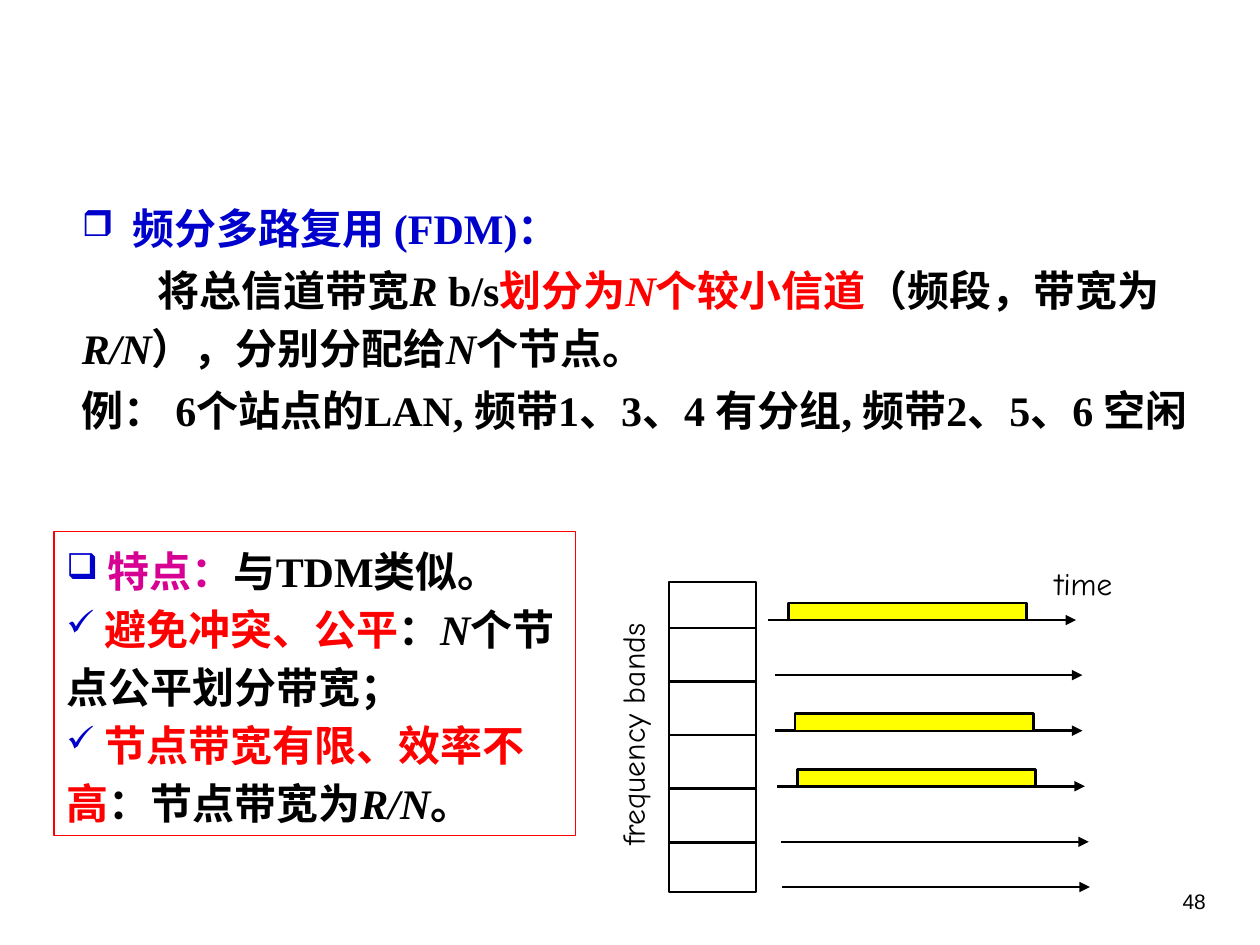
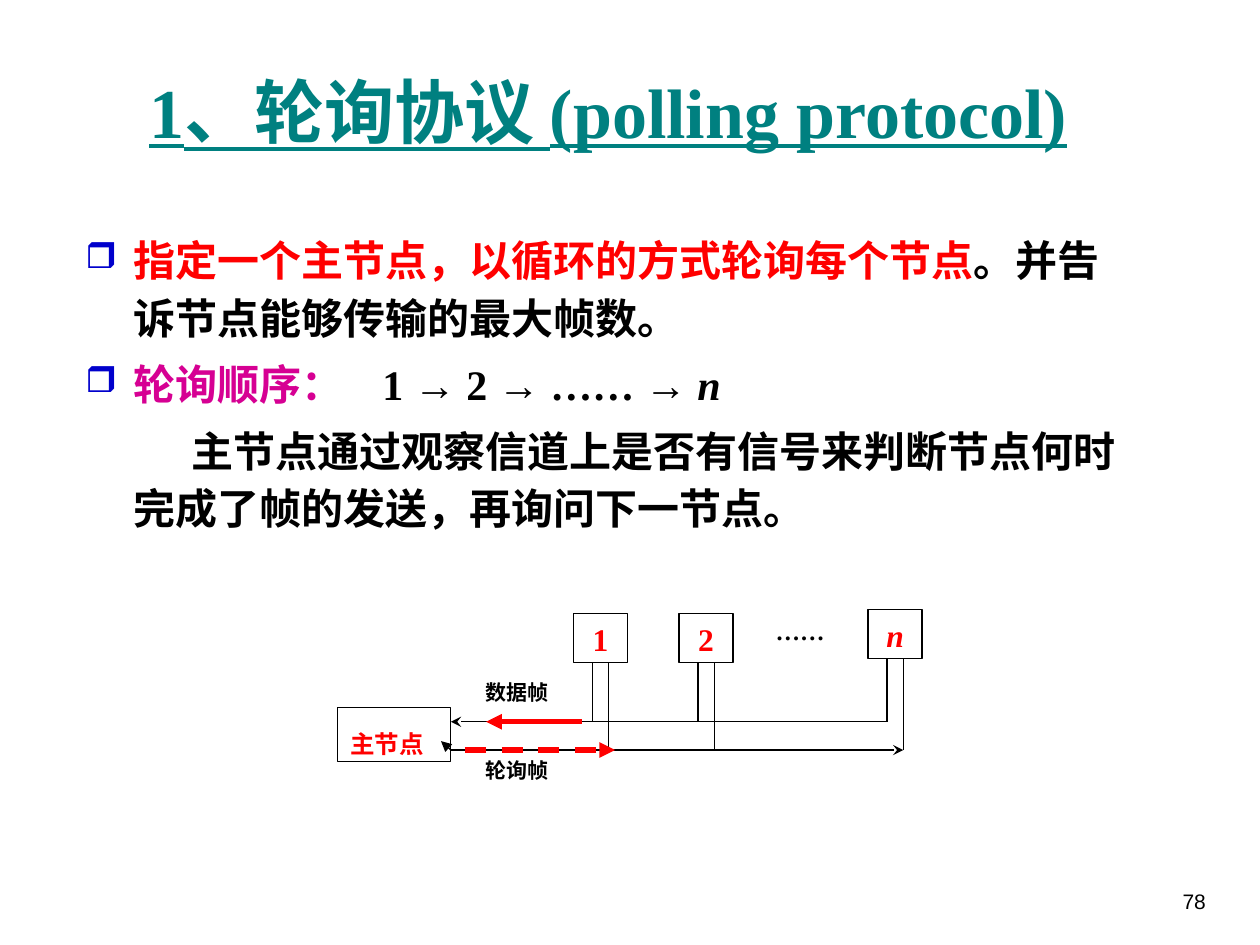
from lxml.etree import SubElement
from pptx import Presentation
from pptx.dml.color import RGBColor
from pptx.enum.dml import MSO_LINE
from pptx.enum.shapes import MSO_CONNECTOR, MSO_SHAPE
from pptx.enum.text import MSO_ANCHOR, MSO_AUTO_SIZE, PP_ALIGN
from pptx.oxml.ns import qn
from pptx.util import Cm, Pt

COLORS = {
    "black": "000000", "white": "FFFFFF", "red": "FF0000", "blue": "0000CC",
    "magenta": "D60093", "teal": "008080", "yellow": "FFFF00",
}
SERIF, SANS, HAND = "Times New Roman", "Arial", "Comic Neue"

# A paragraph is (spans, layout); a span is (text, colour, italic).
# Layout lengths are centimetres, space before is points.
FDM_BODY = [
    ([("频分多路复用 (FDM)：", "blue")], dict(bullet="❒", margin=1.02, indent=-1.02)),
    ([("将总信道带宽", "black"), ("R ", "black", True), ("b/s", "black"),
      ("划分为", "red"), ("N", "red", True), ("个较小信道", "red"),
      ("（频段，带宽为", "black"), ("R/N", "black", True), ("），分别分配给", "black"),
      ("N", "black", True), ("个节点。", "black")], dict(indent=1.53, before=2.4)),
    ([("例： 6个站点的LAN, 频带1、3、4 有分组, 频带2、5、6 空闲", "black")],
     dict(before=2.4)),
]
FDM_TRAITS = [
    ([(" ", "black", True), ("特点：", "magenta"), ("与TDM类似。", "black")],
     dict(bullet="❑")),
    ([(" 避免冲突、公平", "red"), ("：", "black"), ("N", "black", True),
      ("个节点公平划分带宽；", "black")], dict(bullet="✓")),
    ([(" 节点带宽有限、效率不高", "red"), ("：节点带宽为", "black"),
      ("R/N", "black", True), ("。", "black")], dict(bullet="✓")),
]
HANGING = dict(bullet="❒", margin=0.97, indent=-0.97)
POLLING_BODY = [
    ([("指定一个主节点，以循环的方式轮询每个节点", "red"),
      ("。并告诉节点能够传输的最大帧数。", "black")], HANGING),
    ([("轮询顺序：\t", "magenta"), ("1 → 2 → …… → ", "black"), ("n", "black", True)],
     dict(HANGING, before=4.8, tab=5.99)),
    ([("主节点通过观察信道上是否有信号来判断节点何时完成了帧的发送，再询问下一节点。",
       "black")], dict(margin=0.97, indent=1.17, before=4.8)),
]

BAND_COLUMN = (13.49, 11.73, 1.75, 6.25)
FIRST_DIVIDER, BAND_STEP, BAND_COUNT = 12.66, 1.08, 6
# left end, height on the slide, whether the band carries packets
TIME_AXES = [
    (15.49, 12.5, True), (15.62, 13.61, False), (15.62, 14.73, True),
    (15.67, 15.85, True), (15.75, 16.97, False), (15.77, 17.88, False),
]
AXIS_LENGTH = 6.2
PULSE_OFFSET, PULSE_WIDTH, PULSE_HEIGHT = 0.41, 4.8, 0.32

# name, left, top, italic
NODES = [("1", 11.56, 12.37, False), ("2", 13.69, 12.37, False),
         ("n", 17.5, 12.29, True)]
NODE_WIDTH, NODE_HEIGHT = 1.09, 0.99
DATA_DROP, POLL_DROP = 0.38, 0.71
MASTER_RIGHT, DATA_LINE, POLL_LINE = 9.09, 14.55, 15.12


def color(name):
    return RGBColor.from_string(COLORS[name])


def add_bullet(properties, character):
    tint = SubElement(properties, qn("a:buClr"))
    SubElement(tint, qn("a:srgbClr"), val=COLORS["blue"])
    SubElement(properties, qn("a:buSzPct"), val="85000")
    SubElement(properties, qn("a:buChar"), char=character)


def write(box, paragraphs, size=24, font=SERIF, bold=True, underline=None,
          align=PP_ALIGN.LEFT, spacing=None, anchor=MSO_ANCHOR.TOP, wrap=True):
    """Fill a shape with paragraphs, or with one span given as a tuple."""
    frame = box.text_frame
    frame.word_wrap, frame.vertical_anchor = wrap, anchor
    if isinstance(paragraphs, tuple):
        paragraphs = [([paragraphs], {})]
    for number, (spans, layout) in enumerate(paragraphs):
        para = frame.add_paragraph() if number else frame.paragraphs[0]
        properties = para._p.get_or_add_pPr()
        properties.set("marL", str(Cm(layout.get("margin", 0))))
        properties.set("indent", str(Cm(layout.get("indent", 0))))
        if "bullet" in layout:
            add_bullet(properties, layout["bullet"])
        if "tab" in layout:
            tabs = SubElement(properties, qn("a:tabLst"))
            SubElement(tabs, qn("a:tab"), pos=str(Cm(layout["tab"])), algn="l")
        para.alignment = align
        if spacing:
            para.line_spacing = spacing
        if "before" in layout:
            para.space_before = Pt(layout["before"])
        for text, tint, *italic in spans:
            span = para.add_run()
            span.text = text
            span.font.name, span.font.size = font, Pt(size)
            span.font.bold, span.font.underline = bold, underline
            span.font.italic = bool(italic and italic[0])
            span.font.color.rgb = color(tint)


def add_text(page, place, paragraphs, **formats):
    box = page.shapes.add_textbox(*map(Cm, place))
    write(box, paragraphs, **formats)
    return box


def paint(shape, fill, line, width):
    shape.shadow.inherit = False
    if fill:
        shape.fill.solid()
        shape.fill.fore_color.rgb = color(fill)
    else:
        shape.fill.background()
    shape.line.color.rgb = color(line)
    shape.line.width = Pt(width)


def add_box(page, place, fill="white", line="black", width=0.75):
    box = page.shapes.add_shape(MSO_SHAPE.RECTANGLE, *map(Cm, place))
    paint(box, fill, line, width)
    return box


def add_line(page, start, end, tint="black", width=0.75, arrow=None, dash=None):
    """Draw a straight line, with an arrowhead at its end if one is named."""
    line = page.shapes.add_connector(MSO_CONNECTOR.STRAIGHT, *map(Cm, start + end))
    line.line.color.rgb = color(tint)
    line.line.width = Pt(width)
    if dash:
        line.line.dash_style = dash
    if arrow:
        SubElement(line.line._get_or_add_ln(), qn("a:tailEnd"), type=arrow)
    SubElement(line._element.spPr, qn("a:effectLst"))


def add_page(deck, number):
    page = deck.slides.add_slide(deck.slide_layouts[6])
    add_text(page, (22.68, 17.78, 1.88, 1.27), (number, "black"), size=12,
             font=SANS, bold=False, align=PP_ALIGN.RIGHT)
    return page


def add_axis_label(page, place, text, rotation):
    label = add_text(page, place, (text, "black"), size=18, font=HAND,
                     bold=False, wrap=False)
    label.text_frame.auto_size = MSO_AUTO_SIZE.SHAPE_TO_FIT_TEXT
    label.rotation = rotation


def add_pulse(page, left, bottom):
    top, right = bottom - PULSE_HEIGHT, left + PULSE_WIDTH
    outline = page.shapes.build_freeform(Cm(left), Cm(bottom))
    corners = [(left, top), (right, top), (right, bottom)]
    outline.add_line_segments([(Cm(x), Cm(y)) for x, y in corners], close=False)
    paint(outline.convert_to_shape(), "yellow", "black", 1.5)


def draw_frequency_bands(page):
    add_box(page, BAND_COLUMN, width=1.5)
    left, _, width, _ = BAND_COLUMN
    for step in range(BAND_COUNT - 1):
        y = FIRST_DIVIDER + step * BAND_STEP
        add_line(page, (left, y), (left + width, y), width=1.5)
    for start, y, busy in TIME_AXES:
        add_line(page, (start, y), (start + AXIS_LENGTH, y), width=1.5,
                 arrow="triangle")
        if busy:
            add_pulse(page, start + PULSE_OFFSET, y - 0.02)
    add_axis_label(page, (10.06, 14.1, 5.38, 1.02), "frequency bands", 270)
    add_axis_label(page, (21.01, 11.25, 1.83, 1.02), "time", 1.1)


def draw_polling(page):
    master = add_box(page, (6.81, 14.27, 2.28, 1.09))
    write(master, ("主节点", "red"), size=14, spacing=1.52)
    add_text(page, (9.53, 13.58, 2.08, 0.97), ("数据帧", "black"), size=12)
    add_text(page, (9.53, 15.14, 2.08, 1.37), ("轮询帧", "black"), size=12)
    add_text(page, (15.09, 12.29, 2.08, 1.09), ("……", "black"), size=14,
             align=PP_ALIGN.CENTER)
    for name, left, top, italic in NODES:
        node = add_box(page, (left, top, NODE_WIDTH, NODE_HEIGHT))
        write(node, (name, "red", italic), size=18, align=PP_ALIGN.CENTER)
        for drop, y in ((DATA_DROP, DATA_LINE), (POLL_DROP, POLL_LINE)):
            add_line(page, (left + drop, top + NODE_HEIGHT), (left + drop, y))
    last_left = NODES[-1][1]
    add_line(page, (last_left + DATA_DROP, DATA_LINE), (MASTER_RIGHT, DATA_LINE),
             arrow="stealth")
    add_line(page, (MASTER_RIGHT, POLL_LINE), (last_left + POLL_DROP, POLL_LINE),
             arrow="stealth")
    add_line(page, (MASTER_RIGHT, POLL_LINE), (8.89, 14.94), arrow="triangle")
    add_line(page, (9.37, POLL_LINE), (12.4, POLL_LINE), "red", 3, "triangle",
             MSO_LINE.DASH)
    add_line(page, (11.73, DATA_LINE), (9.8, DATA_LINE), "red", 3, "triangle")


def main():
    deck = Presentation()
    deck.slide_width, deck.slide_height = Cm(25.4), Cm(19.05)

    page = add_page(deck, "48")
    add_text(page, (1.4, 3.81, 22.83, 6.07), FDM_BODY, spacing=1.15)
    draw_frequency_bands(page)
    traits = add_box(page, (1.09, 10.72, 10.52, 6.12), fill=None, line="red")
    write(traits, FDM_TRAITS, spacing=1.15)

    page = add_page(deck, "78")
    add_text(page, (1.47, 0.64, 21.59, 3.18), ("1、轮询协议 (polling protocol)", "teal"),
             size=40, underline=True, align=PP_ALIGN.CENTER, anchor=MSO_ANCHOR.MIDDLE)
    add_text(page, (1.47, 4.45, 21.59, 7.65), POLLING_BODY, spacing=1.15)
    draw_polling(page)

    deck.save("out.pptx")


if __name__ == "__main__":
    main()
